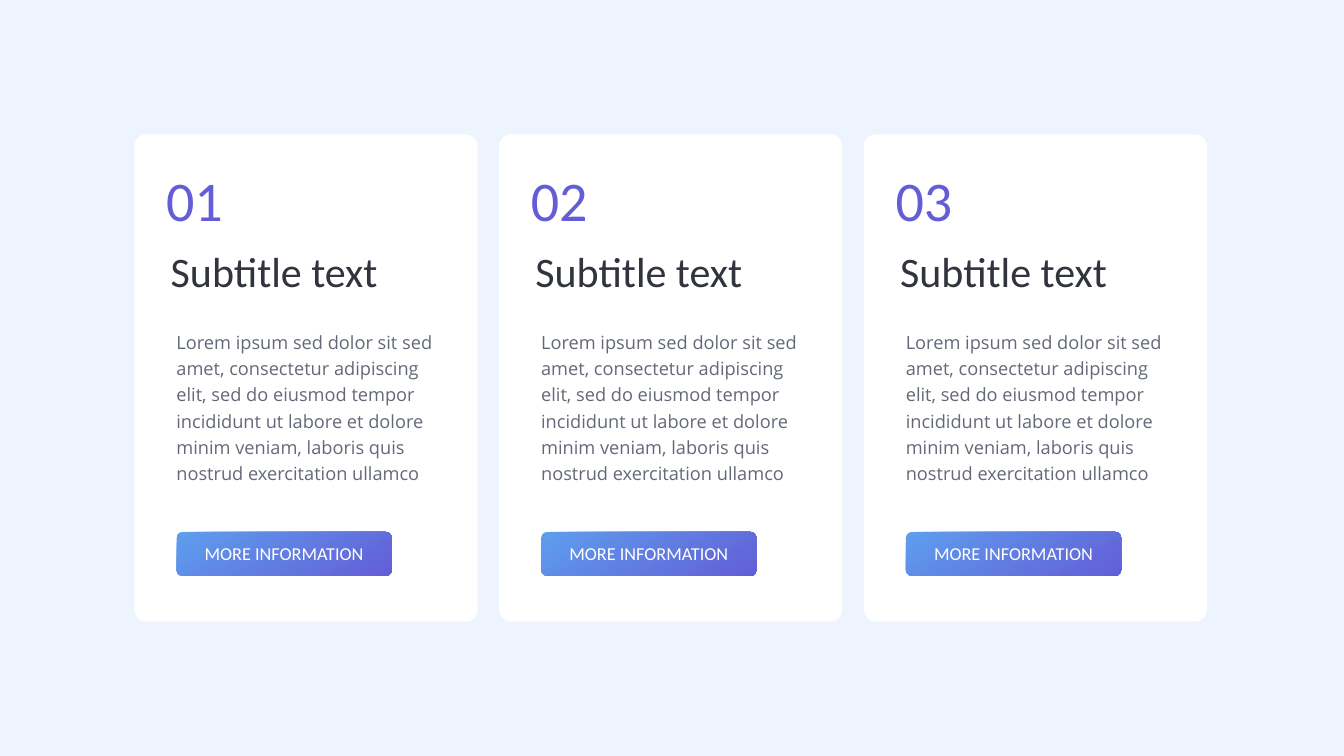
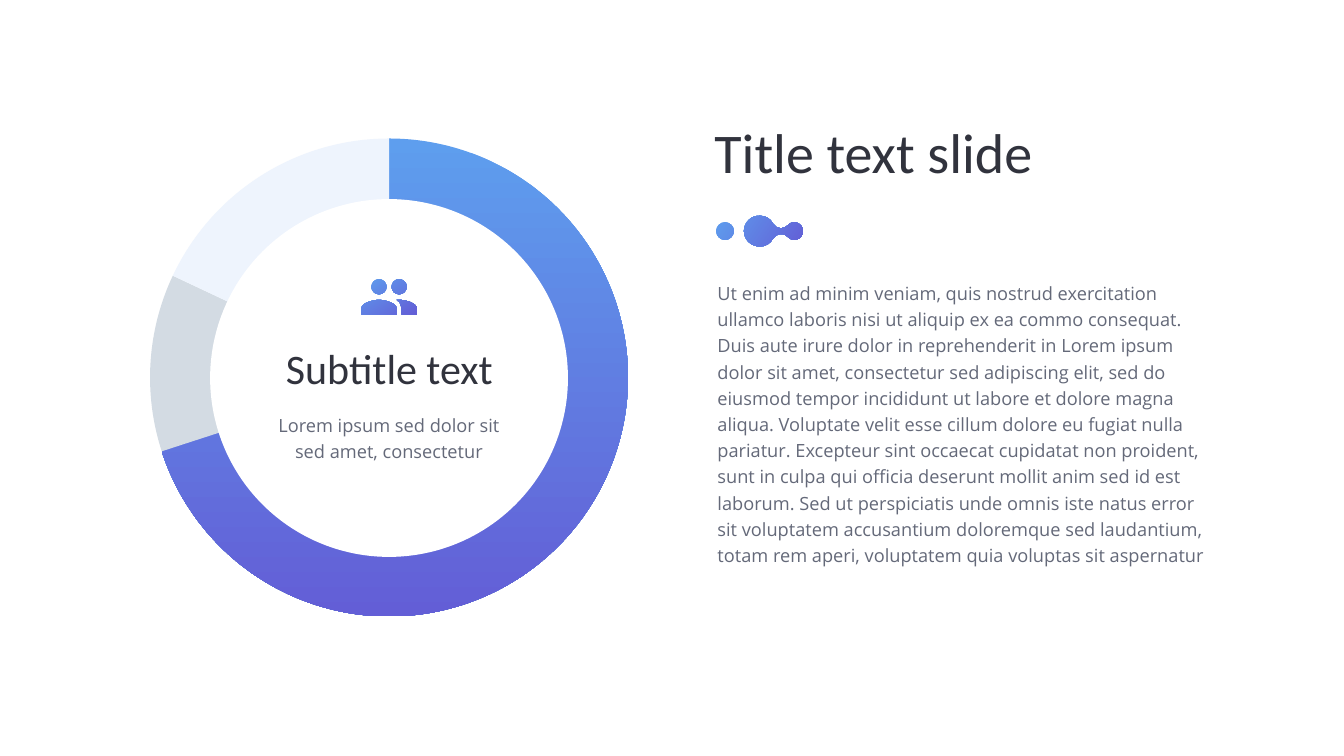
from dataclasses import dataclass
from typing import NamedTuple

from lxml import etree
from pptx import Presentation
from pptx.chart.data import CategoryChartData
from pptx.dml.color import RGBColor
from pptx.enum.chart import XL_CHART_TYPE
from pptx.enum.shapes import MSO_SHAPE
from pptx.enum.text import MSO_ANCHOR, MSO_AUTO_SIZE, PP_ALIGN
from pptx.oxml.ns import qn
from pptx.util import Pt

PIE = XL_CHART_TYPE.PIE
ROUNDED, ELLIPSE = MSO_SHAPE.ROUNDED_RECTANGLE, MSO_SHAPE.OVAL
LEFT, CENTER = PP_ALIGN.LEFT, PP_ALIGN.CENTER
TOP, MIDDLE = MSO_ANCHOR.TOP, MSO_ANCHOR.MIDDLE
GROW = MSO_AUTO_SIZE.SHAPE_TO_FIT_TEXT


class TextStyle(NamedTuple):
    """Font, size, colour, anchor and spacing of one kind of text."""
    font: str
    size: float
    color: str
    anchor: MSO_ANCHOR = MIDDLE
    line_spacing: float = 1.0
    space_before: float = 0


@dataclass(frozen=True)
class Theme:
    """Colours and type styles of the presentation."""
    white: str = "FFFFFF"
    pale: str = "EDF4FD"
    pale_slice: str = "EEF4FD"
    gray: str = "D3DBE3"
    gradient: tuple = ("5E9EEE", "635ED6")
    title: TextStyle = TextStyle("Calibri", 80, "31333D")
    subtitle: TextStyle = TextStyle("Calibri", 60, "31333D")
    number: TextStyle = TextStyle("Calibri", 80, "635ED6")
    button: TextStyle = TextStyle("Calibri", 26, "FFFFFF")
    body: TextStyle = TextStyle("Open Sans", 26, "646979", TOP, 1.2, 20)
    chart: TextStyle = TextStyle("Arial", 10, "2F313F")


THEME = Theme()


class Box(NamedTuple):
    """A rectangle in points."""
    left: float
    top: float
    width: float
    height: float

    def inner(self, left, top, width, height):
        """Return a box placed relative to this one."""
        return Box(self.left + left, self.top + top, width, height)

    def emu(self):
        """Return the four lengths for python-pptx."""
        return [Pt(length) for length in self]


CARD_TEXT = (
    "Lorem ipsum sed dolor sit sed amet, consectetur adipiscing elit, sed do "
    "eiusmod tempor incididunt ut labore et dolore minim veniam, laboris quis "
    "nostrud exercitation ullamco"
)
ARTICLE_TEXT = (
    "Ut enim ad minim veniam, quis nostrud exercitation ullamco laboris nisi ut "
    "aliquip ex ea commo consequat. Duis aute irure dolor in reprehenderit in Lorem "
    "ipsum dolor sit amet, consectetur sed adipiscing elit, sed do eiusmod tempor "
    "incididunt ut labore et dolore magna aliqua. Voluptate velit esse cillum dolore "
    "eu fugiat nulla pariatur. Excepteur sint occaecat cupidatat non proident, sunt "
    "in culpa qui officia deserunt mollit anim sed id est laborum. Sed ut "
    "perspiciatis unde omnis iste natus error sit voluptatem accusantium doloremque "
    "sed laudantium, totam rem aperi, voluptatem quia voluptas sit aspernatur"
)

GLYPH_UNIT = 0.72
DROPLET = [
    (87, 0), (70, -1, 55, 13, 55, 30), (55, 47, 68, 60, 85, 61),
    (97, 62, 108, 55, 113, 45), (116, 41, 120, 38, 124, 37),
    (131, 35, 137, 37, 142, 42), (152, 54, 172, 47, 172, 31),
    (172, 14, 152, 7, 142, 19), (138, 23, 133, 25, 128, 25),
    (122, 25, 116, 21, 113, 16), (108, 6, 98, 0, 87, 0),
]
FRONT_SHOULDERS = [
    (35, 41), (23, 41, 0, 47, 0, 58), (0, 70), (70, 70), (70, 58),
    (70, 47, 46, 41, 35, 41),
]
BACK_SHOULDERS = [
    (75, 41), (74, 41, 72, 41, 70, 41), (76, 45, 80, 51, 80, 58), (80, 70),
    (110, 70), (110, 58), (110, 47, 87, 41, 75, 41),
]


def circle(x, y, radius):
    """Return a circle as four cubic curves."""
    pull = 0.55 * radius
    return [
        (x, y - radius),
        (x + pull, y - radius, x + radius, y - pull, x + radius, y),
        (x + radius, y + pull, x + pull, y + radius, x, y + radius),
        (x - pull, y + radius, x - radius, y + pull, x - radius, y),
        (x - radius, y - pull, x - pull, y - radius, x, y - radius),
    ]


def rgb(color):
    """Return a colour for python-pptx."""
    return RGBColor.from_string(color)


def paint_solid(fill, color):
    """Fill with one colour."""
    fill.solid()
    fill.fore_color.rgb = rgb(color)


def paint_gradient(fill, angle):
    """Fill with the theme gradient, its angle counted clockwise."""
    fill.gradient()
    fill.gradient_angle = 360 - angle
    for position, (stop, color) in enumerate(zip(fill.gradient_stops, THEME.gradient)):
        stop.position = position
        stop.color.rgb = rgb(color)


def set_font(font, style):
    """Apply the font, size and colour of a style."""
    font.name = style.font
    font.size = Pt(style.size)
    font.color.rgb = rgb(style.color)


def write(holder, text, style, align=LEFT):
    """Put one styled paragraph into a text box or placeholder."""
    frame = holder.text_frame
    frame.word_wrap = True
    frame.auto_size = GROW
    frame.vertical_anchor = style.anchor
    frame.margin_left = frame.margin_right = Pt(4)
    frame.margin_top = frame.margin_bottom = Pt(4)
    paragraph = frame.paragraphs[0]
    paragraph.text = text
    paragraph.alignment = align
    paragraph.line_spacing = style.line_spacing
    paragraph.space_before = Pt(style.space_before)
    set_font(paragraph.font, style)
    return paragraph


def add_text(slide, box, text, style, align=LEFT):
    """Add a text box."""
    write(slide.shapes.add_textbox(*box.emu()), text, style, align)


def fill_placeholder(placeholder, box, text, style):
    """Move a placeholder and write into it without a bullet."""
    placeholder.left, placeholder.top, placeholder.width, placeholder.height = box.emu()
    properties = write(placeholder, text, style)._p.get_or_add_pPr()
    properties.set("marL", "0")
    properties.set("indent", "0")
    properties.insert_element_before(
        etree.SubElement(properties, qn("a:buNone")), "a:tabLst", "a:defRPr", "a:extLst")


def add_panel(slide, preset, box, corner=None):
    """Add a white preset shape without line or shadow."""
    panel = slide.shapes.add_shape(preset, *box.emu())
    panel.shadow.inherit = False
    panel.line.fill.background()
    paint_solid(panel.fill, THEME.white)
    if corner is not None:
        panel.adjustments[0] = corner
    return panel


def bend(glyph, segments):
    """Join each three straight steps of a curved segment into one cubic curve."""
    steps = iter(list(glyph._element.iter(qn("a:lnTo"))))
    for segment in segments:
        first = next(steps)
        if len(segment) == 6:
            curve = etree.Element(qn("a:cubicBezTo"))
            first.addprevious(curve)
            for step in (first, next(steps), next(steps)):
                curve.append(step[0])
                step.getparent().remove(step)


def add_glyph(slide, box, contours, angle):
    """Draw closed contours as one gradient freeform."""
    def place(segment):
        return [(Pt(box.left + x * GLYPH_UNIT), Pt(box.top + y * GLYPH_UNIT))
                for x, y in zip(segment[::2], segment[1::2])]

    builder = slide.shapes.build_freeform(*place(contours[0][0])[0], scale=1.0)
    for index, (start, *segments) in enumerate(contours):
        if index:
            builder.move_to(*place(start)[0])
        builder.add_line_segments(
            [point for segment in segments for point in place(segment)], close=True)
    glyph = builder.convert_to_shape()
    bend(glyph, [segment for contour in contours for segment in contour[1:]])
    glyph.shadow.inherit = False
    glyph.line.fill.background()
    paint_gradient(glyph.fill, angle)


def add_card(slide, box, number):
    """Add a numbered card with its button."""
    add_panel(slide, ROUNDED, box, 0.035)
    add_text(slide, box.inner(47.8, 154.6, 395, 79.2), "Subtitle text", THEME.subtitle)
    add_text(slide, box.inner(56, 271, 392.4, 260), CARD_TEXT, THEME.body)
    add_text(slide, box.inner(41.4, 40.5, 170.6, 105), number, THEME.number)
    button = box.inner(60.2, 568, 307.4, 62.6)
    paint_gradient(add_panel(slide, ROUNDED, button, 0.132).fill, 57)
    add_text(slide, button.inner(2.9, 11, 301.7, 38.2), "MORE INFORMATION",
             THEME.button, CENTER)


def add_share_pie(slide, box):
    """Add the pie that shows as a ring."""
    shares = CategoryChartData()
    shares.categories = ["1", "2", "3"]
    shares.add_series("Series 1", (70, 12, 18))
    chart = slide.shapes.add_chart(PIE, *box.emu(), shares).chart
    chart.has_title = chart.has_legend = False
    set_font(chart.font, THEME.chart)
    plot = chart.plots[0]
    plot.vary_by_categories = True
    series = plot.series[0]
    paint_gradient(series.format.fill, 90)
    slices = [series.points[index].format for index in range(3)]
    paint_gradient(slices[0].fill, 90)
    paint_solid(slices[1].fill, THEME.gray)
    paint_solid(slices[2].fill, THEME.pale_slice)
    for share in slices:
        share.line.fill.background()

    plot_area = chart._chartSpace.find(".//" + qn("c:plotArea"))
    for automatic in plot_area.findall(qn("c:layout")):
        plot_area.remove(automatic)
    layout = etree.Element(qn("c:layout"))
    manual = etree.SubElement(layout, qn("c:manualLayout"))
    for tag, setting in (("layoutTarget", "inner"), ("xMode", "edge"), ("yMode", "edge"),
                         ("x", "0.005"), ("y", "0.005"), ("w", "0.99"), ("h", "0.988")):
        etree.SubElement(manual, qn("c:" + tag)).set("val", setting)
    plot_area.insert(0, layout)


def add_ring(slide, box):
    """Add the ring with the people icon and its caption."""
    add_share_pie(slide, box)
    add_panel(slide, ELLIPSE, box.inner(90, 90, 511.2, 511.2))
    add_text(slide, box.inner(160.6, 290.9, 370.8, 79.2), "Subtitle text",
             THEME.subtitle, CENTER)
    add_text(slide, box.inner(163.4, 386.6, 364.3, 87.1),
             "Lorem ipsum sed dolor sit sed amet, consectetur", THEME.body, CENTER)
    people = [circle(75, 15, 15), circle(35, 15, 15), FRONT_SHOULDERS, BACK_SHOULDERS]
    add_glyph(slide, box.inner(306, 204.5, 79.2, 50.4), people, 57)


def add_article(slide, box):
    """Add the title, its ornament and the running text."""
    title, body = slide.placeholders
    fill_placeholder(title, box.inner(0, 0, 717.8, 102.2), "Title text slide", THEME.title)
    add_glyph(slide, box.inner(6.5, 144, 123.8, 43.9),
              [DROPLET, circle(17.5, 30.5, 17.5)], 34)
    fill_placeholder(body, box.inner(4.3, 229, 708.5, 475.9), ARTICLE_TEXT, THEME.body)


def new_slide(deck, layout, background):
    """Add a slide with a plain background."""
    slide = deck.slides.add_slide(deck.slide_layouts[layout])
    paint_solid(slide.background.fill, background)
    return slide


def main():
    """Build and save the presentation."""
    deck = Presentation()
    deck.slide_width, deck.slide_height = Pt(1920), Pt(1080)
    cards = new_slide(deck, 6, THEME.pale)
    for index in range(3):
        add_card(cards, Box(192 + index * 521, 192, 490.3, 696.2), f"{index + 1:02}")
    overview = new_slide(deck, 1, THEME.white)
    add_article(overview, Box(1016.6, 164.2, 717.8, 704.9))
    add_ring(overview, Box(210.2, 194.4, 691.2, 691.2))
    deck.save("out.pptx")


if __name__ == "__main__":
    main()
